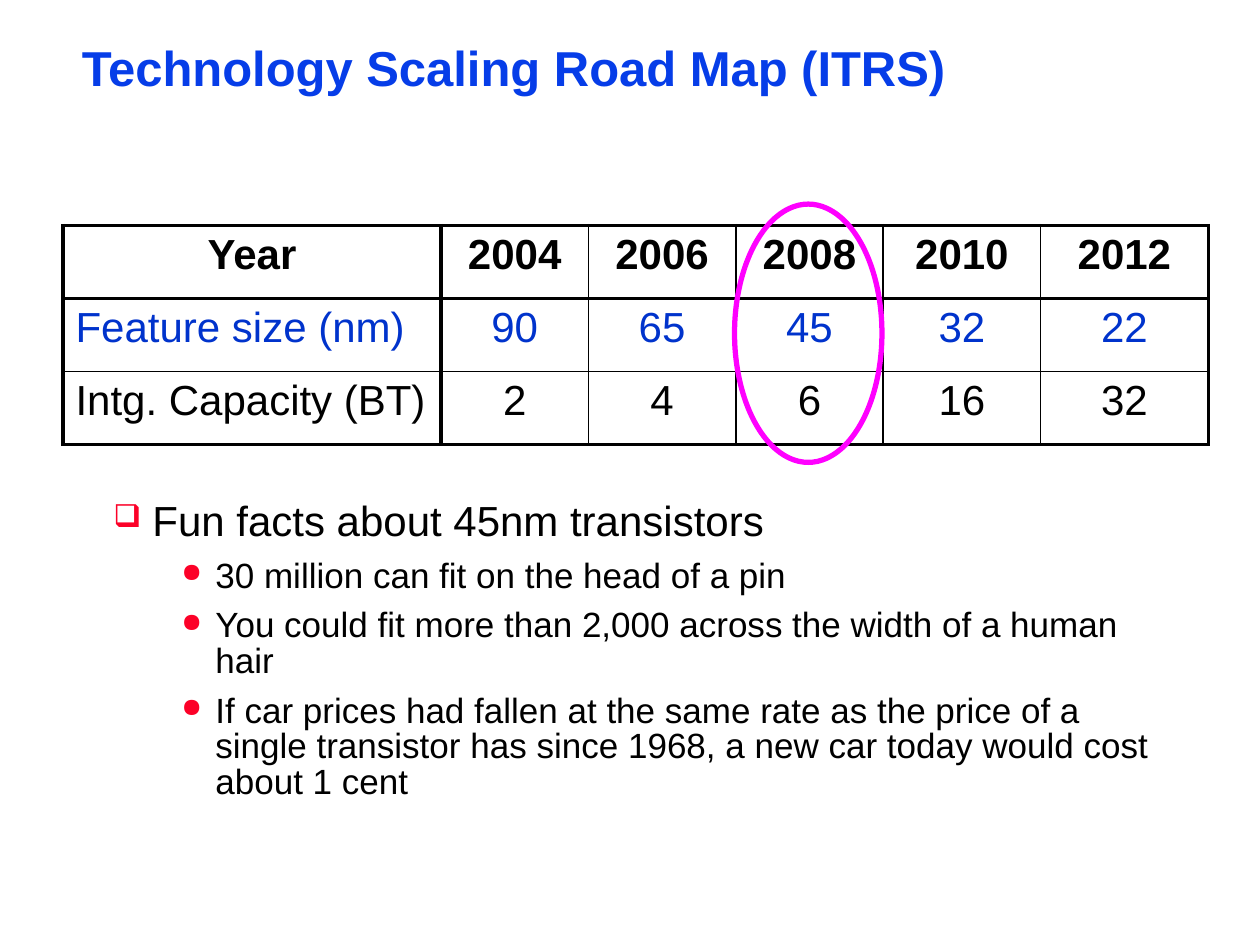
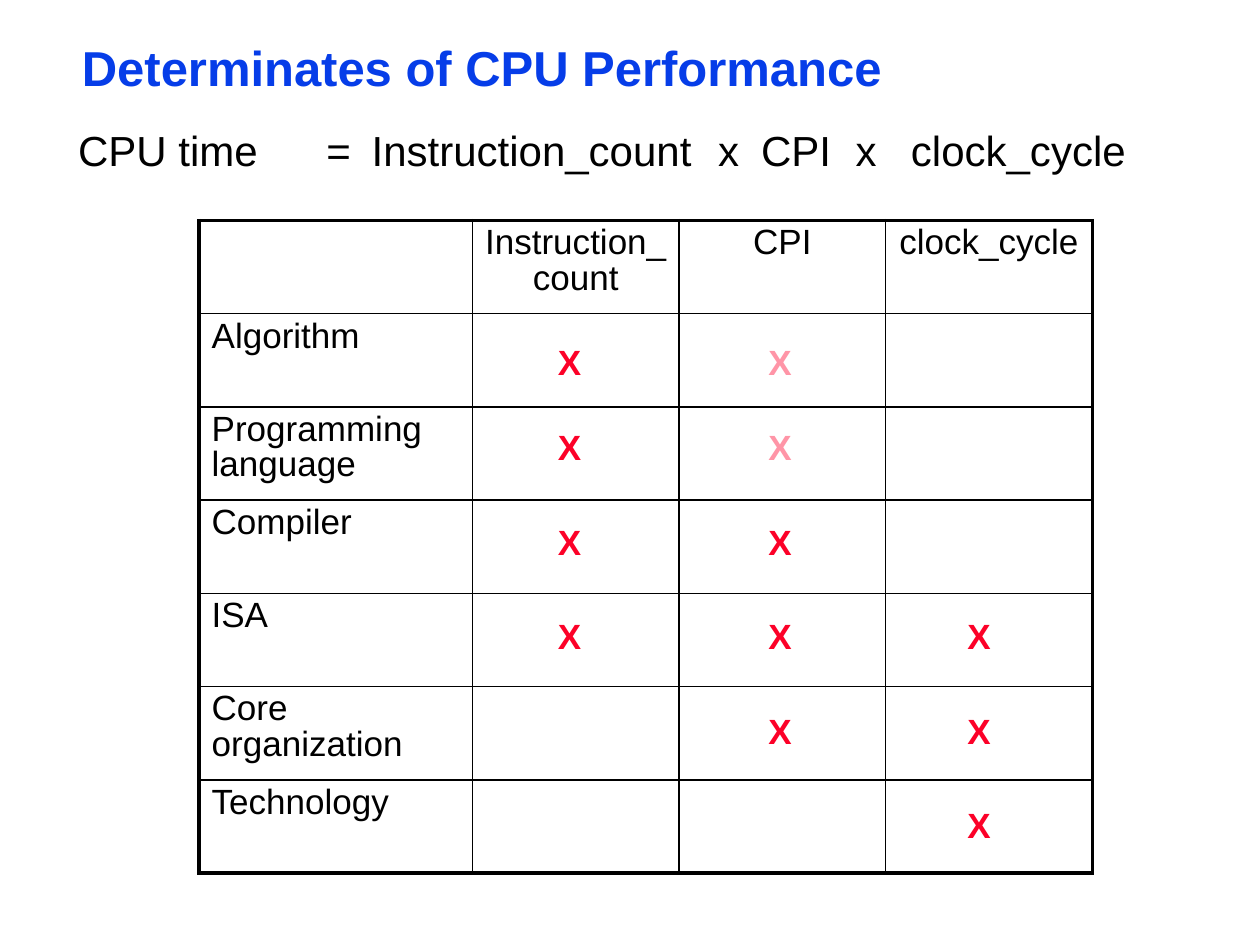
from lxml import etree
from pptx import Presentation
from pptx.dml.color import RGBColor
from pptx.enum.shapes import MSO_SHAPE
from pptx.enum.text import MSO_ANCHOR, PP_ALIGN
from pptx.oxml.ns import qn
from pptx.util import Inches, Pt

LEFT, CENTER = PP_ALIGN.LEFT, PP_ALIGN.CENTER
TOP = MSO_ANCHOR.TOP
ELLIPSE = MSO_SHAPE.OVAL
TITLE_ONLY = 5

FONT = "Arial"
COLORS = {
    "title": "063DE8",
    "text": "000000",
    "feature": "0033CC",
    "red": "FC0128",
    "pale_red": "FF95A7",
    "highlight": "FF00FF",
}
HEAVY, THIN = 2.25, 1
TIGHT_MARGINS = (0.07, 0.03, 0.07, 0.03)


def write_text(frame, text, size=24, color="text", bold=False, align=LEFT,
               spacing=None, before=None, level=0, bullet=None, indent=None,
               tabs=(), margins=None):
    """Fill the frame's first paragraph, or add one if it already has text."""
    if margins:
        (frame.margin_left, frame.margin_top,
         frame.margin_right, frame.margin_bottom) = map(Inches, margins)
    paragraph = frame.add_paragraph() if frame.text else frame.paragraphs[0]
    paragraph.alignment = align
    paragraph.level = level
    if spacing:
        paragraph.line_spacing = spacing
    if before:
        paragraph.space_before = Pt(before)
    properties = paragraph._p.get_or_add_pPr()
    if bullet:
        properties.set("marL", str(Inches(indent[0])))
        properties.set("indent", str(Inches(indent[1])))
        bullet_color = etree.SubElement(properties, qn("a:buClr"))
        etree.SubElement(bullet_color, qn("a:srgbClr"), val=COLORS["red"])
        etree.SubElement(properties, qn("a:buSzPct"), val="75000")
        etree.SubElement(properties, qn("a:buChar"), char=bullet)
    if tabs:
        tab_list = etree.SubElement(properties, qn("a:tabLst"))
        for position in tabs:
            etree.SubElement(tab_list, qn("a:tab"), pos=str(Inches(position)), algn="l")
    run = paragraph.add_run()
    run.text = text
    run.font.name = FONT
    run.font.size = Pt(size)
    run.font.bold = bold
    run.font.color.rgb = RGBColor.from_string(COLORS[color])


def add_ruled_table(slide, left, top, widths, row_height, rows,
                    heavy_rows, heavy_columns, row_formats):
    """Add a table; heavy_rows and heavy_columns number the thick grid lines."""
    table = slide.shapes.add_table(
        len(rows), len(widths), Inches(left), Inches(top),
        Inches(sum(widths)), Inches(row_height * len(rows))).table
    table.first_row = table.horz_banding = False
    for column, width in zip(table.columns, widths):
        column.width = Inches(width)
    for i, texts in enumerate(rows):
        table.rows[i].height = Inches(row_height)
        for j, text in enumerate(texts):
            cell = table.cell(i, j)
            edges = {"L": j in heavy_columns, "R": j + 1 in heavy_columns,
                     "T": i in heavy_rows, "B": i + 1 in heavy_rows}
            for side, heavy in edges.items():
                line = etree.SubElement(cell._tc.get_or_add_tcPr(), qn(f"a:ln{side}"),
                                        w=str(Pt(HEAVY if heavy else THIN)))
                fill = etree.SubElement(line, qn("a:solidFill"))
                etree.SubElement(fill, qn("a:srgbClr"), val=COLORS["text"])
            cell.fill.background()
            if text:
                align = LEFT if i and not j else CENTER
                write_text(cell.text_frame, text, align=align, **row_formats[i])


presentation = Presentation()
presentation.slide_width, presentation.slide_height = Inches(10), Inches(7.5)

slides = []
for title_text, title_width in (("Technology Scaling Road Map (ITRS)", 8.92),
                                ("Determinates of CPU Performance", 6.5)):
    slide = presentation.slides.add_slide(presentation.slide_layouts[TITLE_ONLY])
    title = slide.shapes.title
    title.left, title.top = Inches(0.58), Inches(0.33)
    title.width, title.height = Inches(title_width), Inches(0.46)
    title.text_frame.vertical_anchor = TOP
    write_text(title.text_frame, title_text, size=28, color="title", bold=True,
               spacing=0.87, margins=TIGHT_MARGINS)
    slides.append(slide)
roadmap_slide, performance_slide = slides

# Scaling road map
add_ruled_table(
    roadmap_slide, 0.5, 1.79, [3, 1.17, 1.17, 1.17, 1.25, 1.33], 0.58,
    [["Year", "2004", "2006", "2008", "2010", "2012"],
     ["Feature size (nm)", "90", "65", "45", "32", "22"],
     ["Intg. Capacity (BT)", "2", "4", "6", "16", "32"]],
    heavy_rows={0, 1, 3}, heavy_columns={0, 1, 6},
    row_formats=[{"bold": True}, {"color": "feature"}, {}])

facts = roadmap_slide.shapes.add_textbox(
    Inches(0.83), Inches(3.94), Inches(8.5), Inches(2.92)).text_frame
facts.word_wrap = True
write_text(facts, "Fun facts about 45nm transistors", spacing=0.9,
           bullet="❑", indent=(0.31, -0.31), margins=TIGHT_MARGINS)
for fact in (
    "30 million can fit on the head of a pin",
    "You could fit more than 2,000 across the width of a human hair",
    "If car prices had fallen at the same rate as the price of a single "
    "transistor has since 1968, a new car today would cost about 1 cent",
):
    write_text(facts, fact, size=20, spacing=0.85, before=8, level=1,
               bullet="●", indent=(0.81, -0.27))

highlight = roadmap_slide.shapes.add_shape(
    ELLIPSE, Inches(5.83), Inches(1.62), Inches(1.17), Inches(2.05))
highlight.shadow.inherit = False
highlight.fill.background()
highlight.line.color.rgb = RGBColor.from_string(COLORS["highlight"])
highlight.line.width = Pt(3)

# CPU performance
formula = performance_slide.shapes.add_textbox(
    Inches(0.55), Inches(1), Inches(9.03), Inches(0.41)).text_frame
formula.word_wrap = True
write_text(formula, "CPU time\t=\tInstruction_count\tx\tCPI\tx\tclock_cycle",
           spacing=0.9, tabs=(1.97, 2.33, 5.08, 5.42, 6.17, 6.61),
           margins=TIGHT_MARGINS)

factors = ["Algorithm", "Programming language", "Compiler", "ISA",
           "Core organization", "Technology"]
add_ruled_table(
    performance_slide, 1.58, 1.75, [2.17, 1.64, 1.64, 1.64], 0.74,
    [["", "Instruction_count", "CPI", "clock_cycle"]]
    + [[factor, "", "", ""] for factor in factors],
    heavy_rows={0, 7}, heavy_columns={0, 4},
    row_formats=[{"size": 20, "spacing": 0.9}] * 7)

mark_lefts = [4.33, 6, 7.58]
mark_tops = [2.65] + [3.33 + 0.75 * step for step in range(5)]
mark_colors = [
    ("red", "pale_red", None),
    ("red", "pale_red", None),
    ("red", "red", None),
    ("red", "red", "red"),
    (None, "red", "red"),
    (None, None, "red"),
]
for top, row_colors in zip(mark_tops, mark_colors):
    for left, color in zip(mark_lefts, row_colors):
        if color:
            mark = performance_slide.shapes.add_textbox(
                Inches(left), Inches(top), Inches(0.42), Inches(0.43)).text_frame
            mark.word_wrap = True
            write_text(mark, "X", size=20, color=color, bold=True)

presentation.save("out.pptx")
